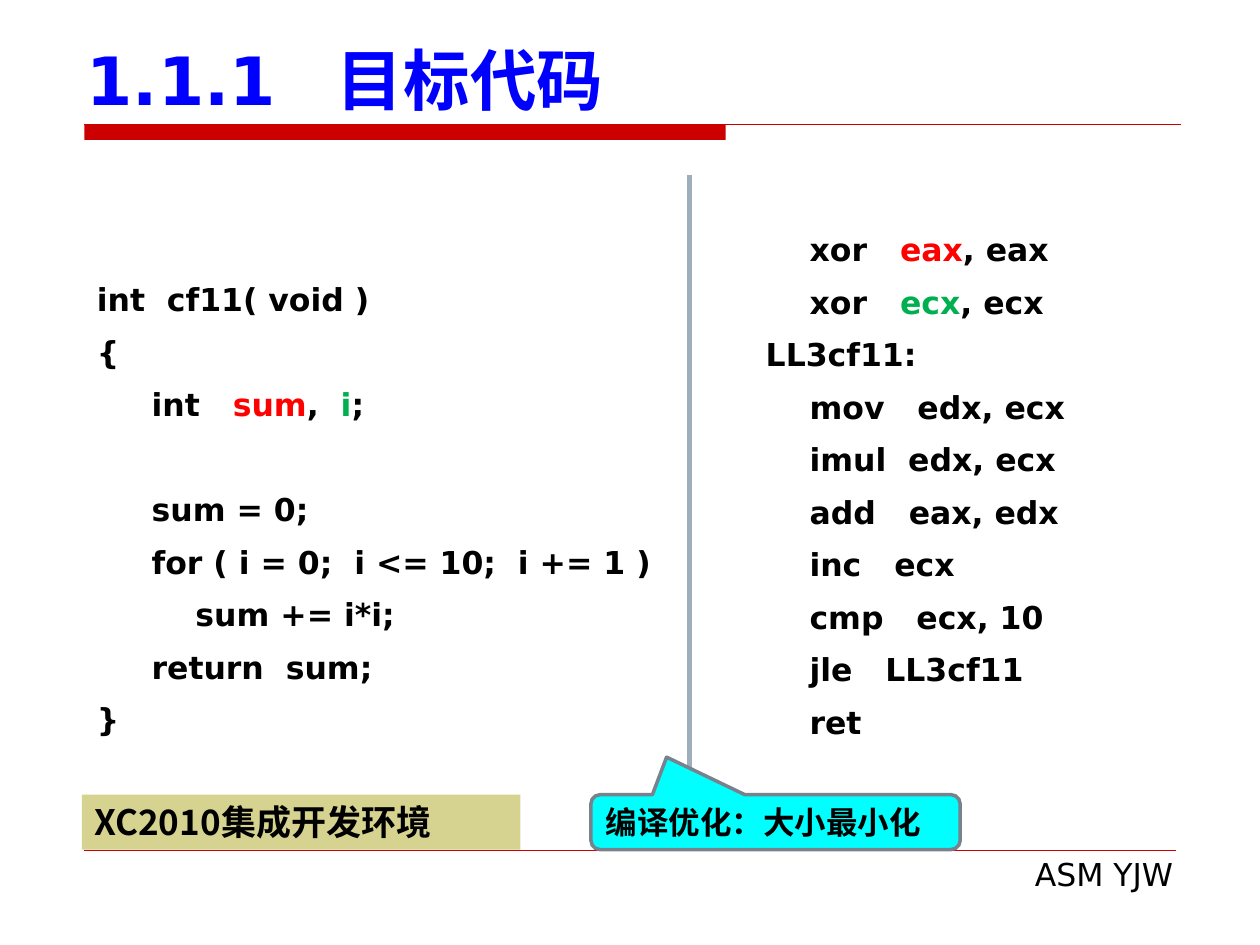
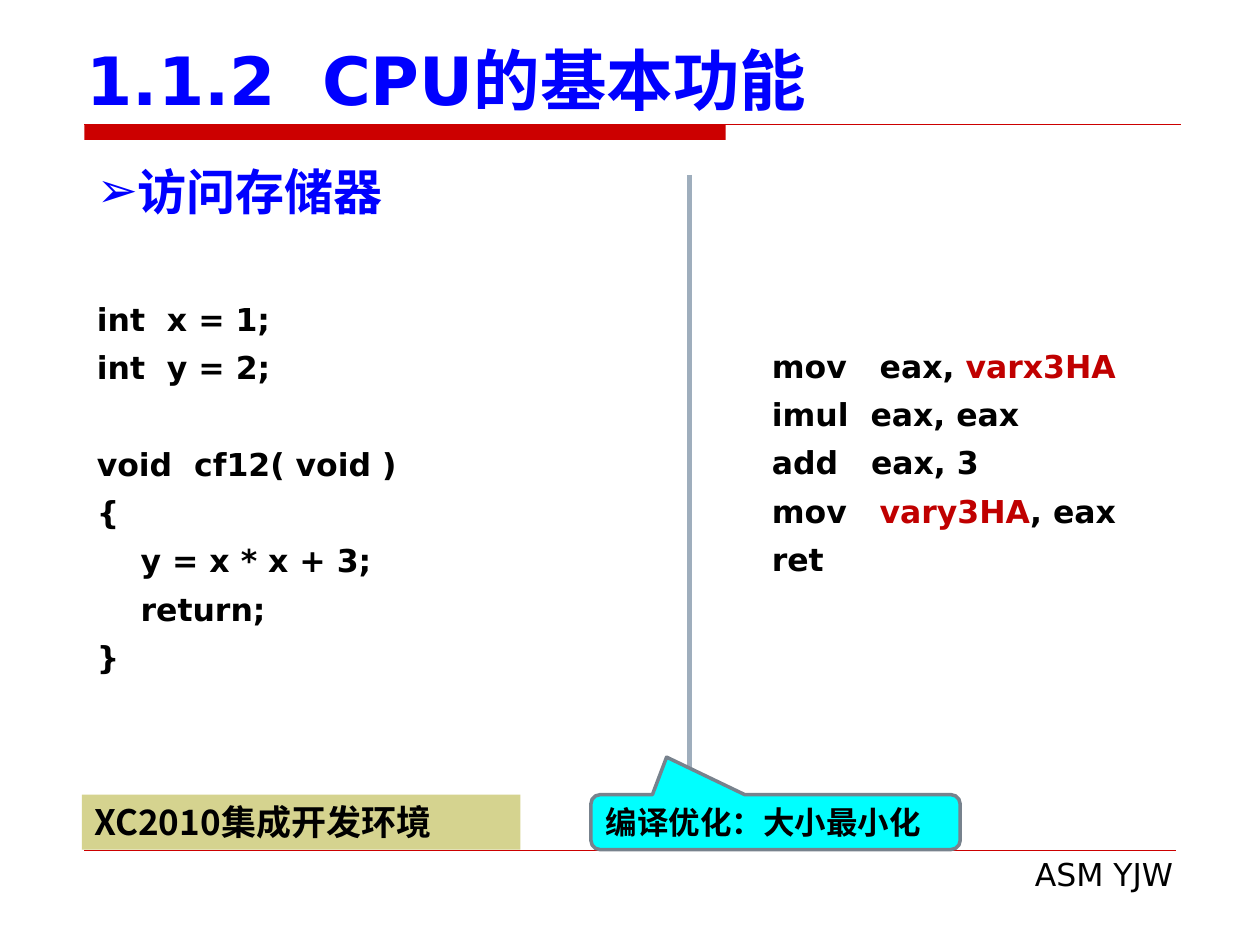
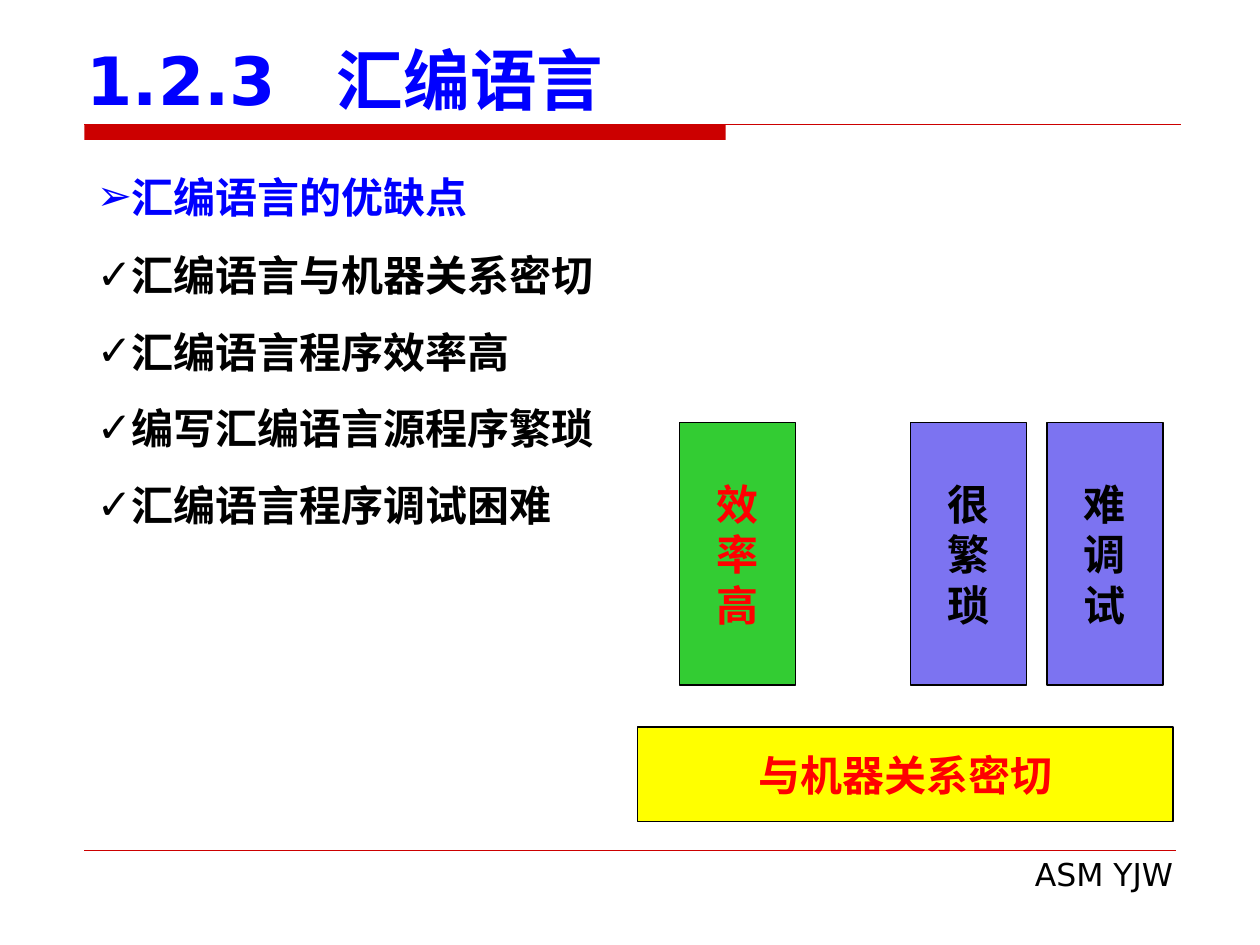
from lxml import etree
from pptx import Presentation
from pptx.dml.color import RGBColor
from pptx.enum.shapes import MSO_CONNECTOR, MSO_SHAPE
from pptx.enum.text import MSO_ANCHOR, PP_ALIGN
from pptx.oxml.ns import qn
from pptx.util import Pt

RECTANGLE = MSO_SHAPE.RECTANGLE
CALLOUT = MSO_SHAPE.ROUNDED_RECTANGULAR_CALLOUT
STRAIGHT = MSO_CONNECTOR.STRAIGHT
TOP, MIDDLE, BOTTOM = MSO_ANCHOR.TOP, MSO_ANCHOR.MIDDLE, MSO_ANCHOR.BOTTOM
LEFT, CENTER, RIGHT = PP_ALIGN.LEFT, PP_ALIGN.CENTER, PP_ALIGN.RIGHT

SANS, CJK = "DejaVu Sans", "Noto Sans CJK SC"
BLACK, BLUE, RED, GREEN = "000000", "0000FF", "FF0000", "00B050"
BAND_RED, DARK_RED = "CC0000", "C00000"
DIVIDER, SAND, CYAN, CALLOUT_EDGE = "9FAEBD", "D5D38F", "00FFFF", "77828D"
YELLOW, LEAF, VIOLET = "FFFF00", "33CC33", "7C73F1"
MARGIN = 48.24
LINE_RATIO = 1.2


def color(hex_string):
    return RGBColor.from_string(hex_string)


# Basic parts
def add_line(slide, x1, y1, x2, y2, line_color, width):
    line = slide.shapes.add_connector(STRAIGHT, Pt(x1), Pt(y1), Pt(x2), Pt(y2))
    line.line.color.rgb = color(line_color)
    line.line.width = Pt(width)
    properties = line._element.find(qn("p:spPr"))
    etree.SubElement(properties, qn("a:effectLst"))


def add_block(slide, box, fill, edge=None, edge_width=0.75, kind=RECTANGLE):
    shape = slide.shapes.add_shape(kind, *map(Pt, box))
    shape.shadow.inherit = False
    shape.fill.solid()
    shape.fill.fore_color.rgb = color(fill)
    if edge:
        shape.line.color.rgb = color(edge)
        shape.line.width = Pt(edge_width)
    else:
        shape.line.fill.background()
    return shape


def format_run(run, size, text_color, font_name, bold):
    run.font.size = Pt(size)
    run.font.bold = bold
    run.font.color.rgb = color(text_color)
    run.font.name = font_name
    etree.SubElement(run.font._element, qn("a:ea"), typeface=CJK)


def add_bullet(paragraph, character, bullet_color):
    properties = paragraph._p.get_or_add_pPr()
    properties.set("marL", "0")
    properties.set("indent", "0")
    bullet = etree.SubElement(properties, qn("a:buClr"))
    etree.SubElement(bullet, qn("a:srgbClr"), val=bullet_color)
    etree.SubElement(properties, qn("a:buFont"), typeface=SANS)
    etree.SubElement(properties, qn("a:buChar"), char=character)


def write(shape, lines, size, text_color=BLACK, font_name=SANS, bold=True, pitch=None,
          space=0, align=LEFT, anchor=TOP, wrap=True, bullet=None):
    """Each line is a string or a list of strings and (string, colour) pairs.
    An empty string widens the gap before the line that follows it."""
    frame = shape.text_frame
    frame.word_wrap = wrap
    frame.vertical_anchor = anchor
    pitch = pitch or size * LINE_RATIO
    paragraph, gap = frame.paragraphs[0], 0
    for index, line in enumerate(lines):
        if not line:
            gap += pitch + space
            continue
        if index:
            paragraph = frame.add_paragraph()
        paragraph.alignment = align
        paragraph.line_spacing = Pt(pitch)
        paragraph.space_before = Pt(space + gap if index else 0)
        gap = 0
        if bullet:
            add_bullet(paragraph, bullet, text_color)
        for piece in [line] if isinstance(line, str) else line:
            text, piece_color = (piece, text_color) if isinstance(piece, str) else piece
            run = paragraph.add_run()
            run.text = text
            format_run(run, size, piece_color, font_name, bold)


def add_text(slide, box, lines, size, **style):
    shape = slide.shapes.add_textbox(*map(Pt, box))
    write(shape, lines, size, **style)
    return shape


# Shared regions
def add_frame(presentation, number, title, title_tab):
    slide = presentation.slides.add_slide(presentation.slide_layouts[6])
    # Band under the title
    add_block(slide, (MARGIN, 71.28, 366.5, 8.64), BAND_RED)
    add_line(slide, MARGIN, 71.28, 674.64, 71.28, BAND_RED, 0.75)
    # Footer
    add_line(slide, MARGIN, 486, 671.76, 486, BAND_RED, 0.25)
    add_text(slide, (275, 485.3, 402.5, 28.8), ["ASM YJW"], 18, bold=False, align=RIGHT)
    # Title, with a tab between number and words
    heading = add_text(slide, (42.5, 20.16, 652.3, 51.1), [f"{number}\t{title}"], 38,
                       text_color=BLUE, anchor=BOTTOM)
    properties = heading.text_frame.paragraphs[0]._p.get_or_add_pPr()
    tabs = etree.SubElement(properties, qn("a:tabLst"))
    etree.SubElement(tabs, qn("a:tab"), pos=str(Pt(title_tab)), algn="l")
    return slide


def add_compiler_notes(slide):
    add_line(slide, 393.84, 100, 393.84, 440, DIVIDER, 3)
    label = add_block(slide, (46.8, 454.1, 250.6, 31.4), SAND)
    write(label, ["XC2010集成开发环境"], 20, font_name=CJK)
    callout = add_block(slide, (337.7, 454.1, 211, 31.4), CYAN, CALLOUT_EDGE, 2, CALLOUT)
    for index, value in enumerate((-0.295, -1.183, 0.167)):
        callout.adjustments[index] = value
    write(callout, ["编译优化：大小最小化"], 18, anchor=MIDDLE)


def add_code_pair(slide, source, source_box, assembly, assembly_box, **style):
    add_text(slide, source_box, source, 18, **style)
    add_text(slide, assembly_box, assembly, 18, anchor=MIDDLE, **style)
    add_compiler_notes(slide)


def add_pillars(slide, left, top, width, height):
    # Base
    base_height = 54
    base = add_block(slide, (left, top + height - base_height, width, base_height),
                     YELLOW, BLACK)
    write(base, ["与机器关系密切"], 24, text_color=RED, font_name=CJK,
          align=CENTER, anchor=MIDDLE, wrap=False)
    # Pillars, one character to a line
    pillars = [(24, "效率高", LEAF, RED), (156, "很繁琐", VIOLET, BLACK),
               (234, "难调试", VIOLET, BLACK)]
    for offset, words, fill, text_color in pillars:
        pillar = add_block(slide, (left + offset, top, 66.24, 150), fill, BLACK)
        write(pillar, list(words), 24, text_color=text_color, font_name=CJK,
              align=CENTER, anchor=MIDDLE, wrap=False)


# Slides
def build_object_code(presentation):
    slide = add_frame(presentation, "1.1.1", "目标代码", 143)
    source = [
        "int  cf11( void )",
        "{",
        ["     int   ", ("sum", RED), ",  ", ("i", GREEN), ";"],
        "",
        "     sum = 0;",
        "     for ( i = 0;  i <= 10;  i += 1 )",
        "         sum += i*i;",
        "     return  sum;",
        "}",
    ]
    assembly = [
        ["        xor   ", ("eax", RED), ", eax"],
        ["        xor   ", ("ecx", GREEN), ", ecx"],
        "    LL3cf11:",
        "        mov   edx, ecx",
        "        imul  edx, ecx",
        "        add   eax, edx",
        "        inc   ecx",
        "        cmp   ecx, 10",
        "        jle   LL3cf11",
        "        ret",
    ]
    add_code_pair(slide, source, (MARGIN, 148.3, 334.8, 277.2),
                  assembly, (405.4, 119.5, 286.6, 307.4), pitch=30)


def build_memory_access(presentation):
    slide = add_frame(presentation, "1.1.2", "CPU的基本功能", 134.5)
    add_text(slide, (MARGIN, 88.6, 623.5, 41), ["访问存储器"], 28,
             text_color=BLUE, bullet="➢")
    source = [
        "int  x = 1;",
        "int  y = 2;",
        "",
        "void  cf12( void )",
        "{",
        "    y = x * x + 3;",
        "    return;",
        "}",
    ]
    assembly = [
        [" mov   eax, ", ("varx3HA", DARK_RED)],
        " imul  eax, eax",
        " add   eax, 3",
        [" mov   ", ("vary3HA", DARK_RED), ", eax"],
        " ret",
    ]
    add_code_pair(slide, source, (MARGIN, 167.8, 339.8, 222.5),
                  assembly, (427.7, 194.4, 289.4, 139.7), space=6)


def build_assembly_language(presentation):
    slide = add_frame(presentation, "1.2.3", "汇编语言", 143)
    add_text(slide, (MARGIN, 94.3, 623.5, 36), ["汇编语言的优缺点"], 24,
             text_color=BLUE, bullet="➢")
    points = ["汇编语言与机器关系密切", "汇编语言程序效率高",
              "编写汇编语言源程序繁琐", "汇编语言程序调试困难"]
    add_text(slide, (MARGIN, 139, 354.2, 167.8), points, 24, font_name=CJK,
             space=15, bullet="✓")
    add_pillars(slide, 364.3, 241.5, 306, 228)


def main():
    presentation = Presentation()
    presentation.slide_width, presentation.slide_height = Pt(720), Pt(540)
    build_object_code(presentation)
    build_memory_access(presentation)
    build_assembly_language(presentation)
    presentation.save("out.pptx")


if __name__ == "__main__":
    main()
